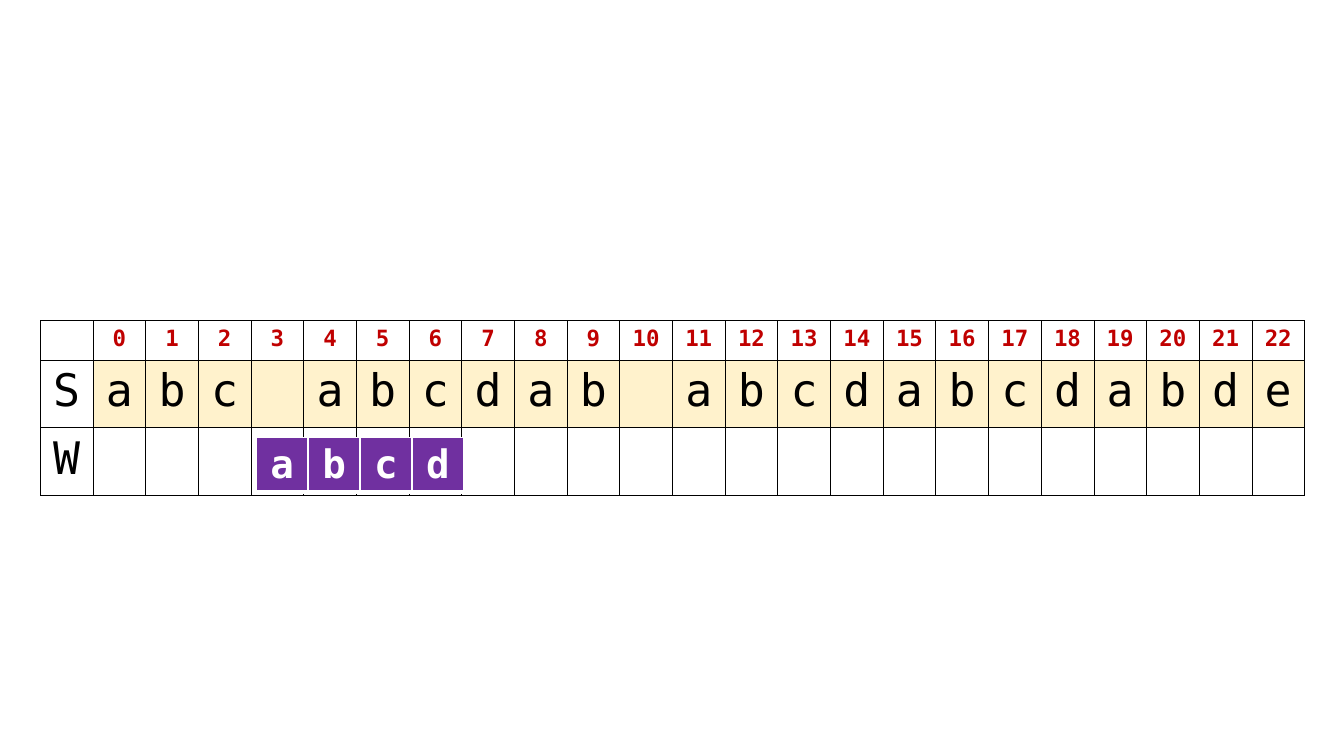
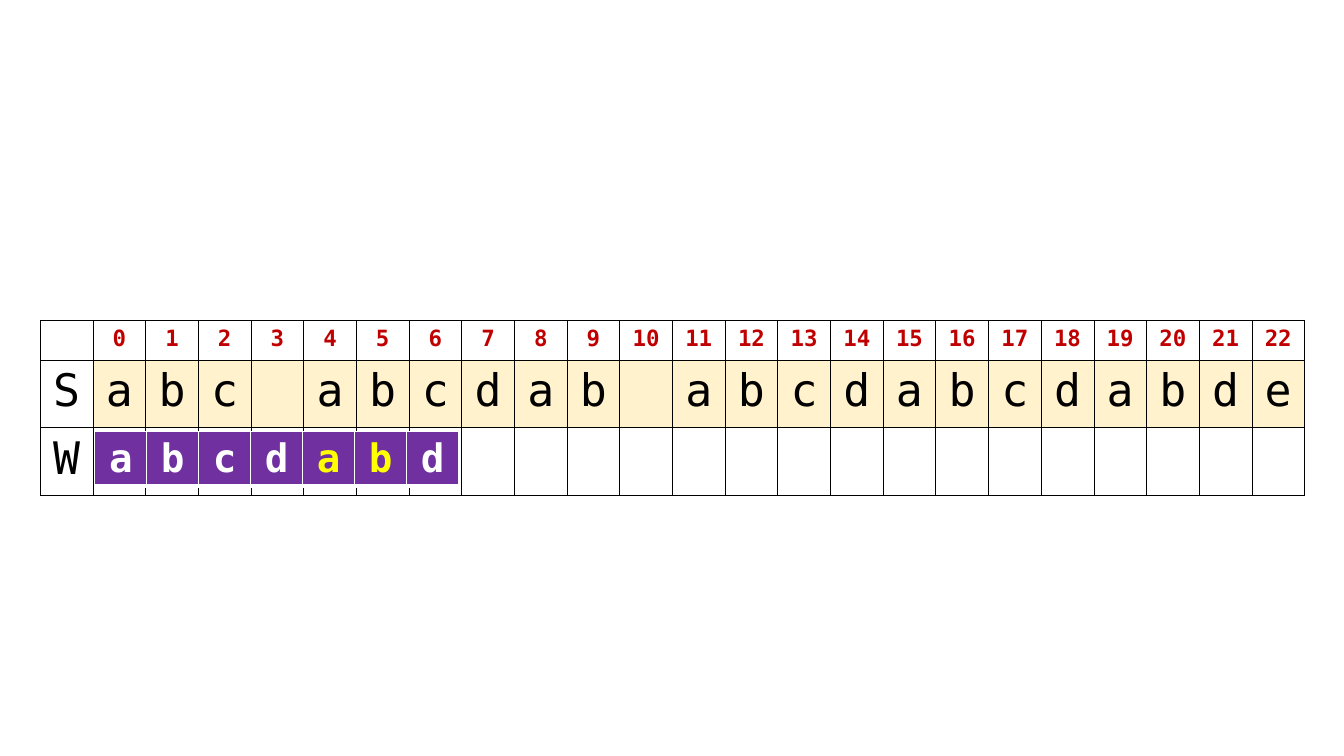
from lxml import etree
from pptx import Presentation
from pptx.dml.color import RGBColor
from pptx.enum import text
from pptx.oxml import ns
from pptx.util import Inches, Pt

FONT = "DejaVu Sans Mono"
BLACK, WHITE, RED, YELLOW = "000000", "FFFFFF", "C00000", "FFFF00"
CREAM, PURPLE = "FFF2CC", "7030A0"

SEARCHED = "abc abcdab abcdabcdabde"
# word, left and top of its strip, positions of highlighted letters
STEPS = [
    ("abcd", 2.54, 4.34, ()),
    ("abcdabd", 0.94, 4.28, (4, 5)),
]
GRID_LEFT, GRID_TOP, GRID_WIDTH = 0.4, 3.18, 12.54
GRID_ROWS = (0.39, 0.67, 0.67)
GRID_BORDERS = {side: (BLACK, 0.5) for side in "LRTB"}
STRIP_COLUMN, STRIP_ROW = 3.61 / 7, 0.54
STRIP_BORDERS = {"L": (WHITE, 1), "R": (WHITE, 1), "T": (WHITE, 1), "B": (WHITE, 3)}
PLAIN_STYLE = "{2D5ABB26-0587-4C30-8999-92F81FD0307C}"


def rgb(color):
    return RGBColor.from_string(color)


def add_grid(page, left, top, column, rows, count):
    """Add a table without any style, with equal columns."""
    frame = page.shapes.add_table(len(rows), count, Inches(left), Inches(top),
                                  Inches(column * count), Inches(sum(rows)))
    table = frame.table
    table.first_row = table.horz_banding = False
    frame._element.find(".//" + ns.qn("a:tableStyleId")).text = PLAIN_STYLE
    for table_column in table.columns:
        table_column.width = Inches(column)
    for table_row, height in zip(table.rows, rows):
        table_row.height = Inches(height)
    return table


def set_borders(cell, borders):
    properties = cell._tc.get_or_add_tcPr()
    for place, (side, (color, width)) in enumerate(borders.items()):
        line = etree.Element(ns.qn("a:ln" + side), w=str(Pt(width)))
        fill = etree.SubElement(line, ns.qn("a:solidFill"))
        etree.SubElement(fill, ns.qn("a:srgbClr"), val=color)
        properties.insert(place, line)


def write_cell(cell, words, size, color, bold, fill, borders):
    para = cell.text_frame.paragraphs[0]
    para.text = words
    para.alignment = text.PP_ALIGN.CENTER
    para.font.name, para.font.size, para.font.bold = FONT, Pt(size), bold
    para.font.color.rgb = rgb(color)
    if fill:
        cell.fill.solid()
        cell.fill.fore_color.rgb = rgb(fill)
    else:
        cell.fill.background()
    set_borders(cell, borders)


def add_searched_text(page):
    count = len(SEARCHED) + 1
    table = add_grid(page, GRID_LEFT, GRID_TOP, GRID_WIDTH / count, GRID_ROWS, count)
    rows = [
        (["", *map(str, range(len(SEARCHED)))], 16, RED, True, None),
        (["S", *SEARCHED], 32, BLACK, False, CREAM),
        (["W", *[""] * len(SEARCHED)], 32, BLACK, False, None),
    ]
    for row, (entries, size, color, bold, fill) in enumerate(rows):
        for column, entry in enumerate(entries):
            write_cell(table.cell(row, column), entry.strip(), size, color, bold,
                       fill if column else None, GRID_BORDERS)


def add_word(page, word, left, top, highlighted):
    table = add_grid(page, left, top, STRIP_COLUMN, [STRIP_ROW], len(word))
    for column, letter in enumerate(word):
        cell = table.cell(0, column)
        color = YELLOW if column in highlighted else WHITE
        write_cell(cell, letter, 28, color, True, PURPLE, STRIP_BORDERS)
        cell.vertical_anchor = text.MSO_ANCHOR.MIDDLE
        cell.margin_top = cell.margin_bottom = Inches(0.04)


def main():
    deck = Presentation()
    deck.slide_width, deck.slide_height = Inches(13.33), Inches(7.5)
    for step in STEPS:
        page = deck.slides.add_slide(deck.slide_layouts[6])
        add_searched_text(page)
        add_word(page, *step)
    deck.save("out.pptx")


if __name__ == "__main__":
    main()
